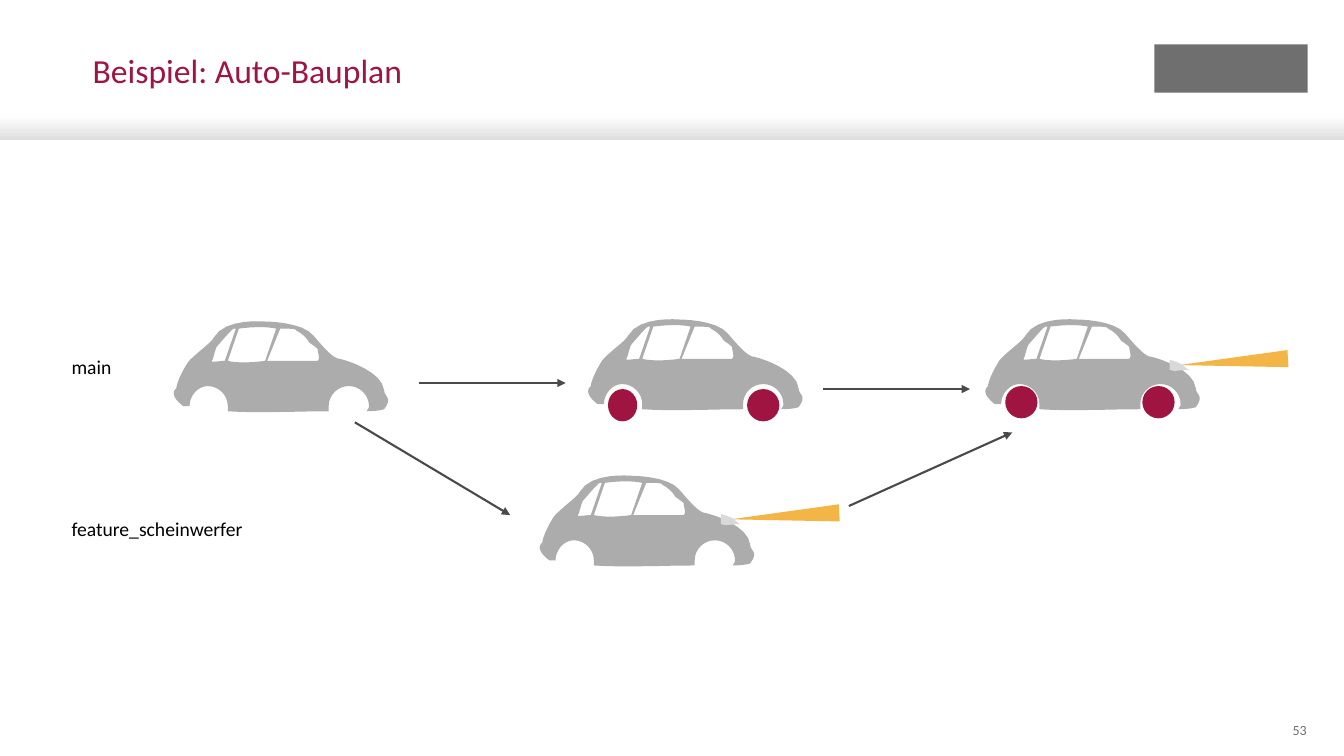
from dataclasses import dataclass

from lxml import etree
from pptx import Presentation
from pptx import util as u
from pptx.dml import color
from pptx.enum import shapes, text
from pptx.oxml import ns

PX = u.Inches(1) // 100
STEPS = 8


@dataclass(frozen=True)
class Theme:
    font: str = "Calibri"
    red: str = "A01441"
    body: str = "ACACAC"
    lamp: str = "D9D9D9"
    beam: str = "F3B545"
    line: str = "4A4A4A"
    gray: str = "6F6F6F"
    white: str = "FFFFFF"
    shade: str = "DEDEDE"
    black: str = "000000"
    title: int = 24
    label: int = 14
    page: int = 10
    stroke: float = 1.5


T = Theme()

BODY = [
    (215, 72), (213, 54, 180, 43, 171, 41), (165, 41, 156, 31, 145, 18),
    (134, 4, 97, 4, 97, 4), (97, 4, 57, 0, 46, 20), (44, 25, 25, 38, 20, 45),
    (9, 63, 9, 70, 9, 70), (0, 77, 16, 88, 16, 88), (22, 88),
    (22, 77, 31, 68, 40, 68), (51, 68, 60, 77, 60, 88), (60, 93),
    (90, 95, 130, 93, 160, 93), (160, 88), (160, 77, 169, 68, 180, 68),
    (191, 68, 200, 77, 200, 88), (200, 91, 198, 91, 198, 93),
    (209, 93, 215, 91, 215, 91), (224, 79, 215, 79, 215, 72),
]
REAR = [
    (44, 43), (46, 41, 46, 36, 49, 29), (51, 27, 64, 11, 66, 11), (68, 11),
    (57, 43), (51, 43, 44, 45, 44, 43),
]
MID = [
    (60, 43), (71, 11), (86, 9, 99, 9, 108, 11), (97, 43),
    (82, 45, 68, 45, 60, 43),
]
FRONT = [
    (149, 43), (99, 43), (112, 11), (121, 11, 128, 11, 128, 13),
    (134, 16, 138, 20, 141, 25), (141, 25, 147, 29, 149, 31),
    (149, 34, 152, 41, 149, 43),
]
LAMP = [
    (0, 0), (4, 1), (9, 3), (13, 5), (16, 8), (19, 10), (15, 10), (5, 11),
    (0, 10),
]


def rgb(tone):
    return color.RGBColor.from_string(tone)


def put(item, values):
    for name, value in values.items():
        setattr(item, name, value)


def paint(shape, tone):
    shape.shadow.inherit = False
    shape.line.fill.background()
    shape.fill.solid()
    shape.fill.fore_color.rgb = rgb(tone)
    return shape


def form(slide, kind, box, tone):
    shape = slide.shapes.add_shape(kind, *(n * PX for n in box))
    return paint(shape, tone)


def trace(parts):
    spots = [parts[0]]
    for part in parts[1:]:
        if len(part) == 2:
            spots.append(part)
            continue
        ctrl = [spots[-1], part[:2], part[2:4], part[4:]]
        for step in range(1, STEPS + 1):
            t = step / STEPS
            mix = ((1 - t) ** 3, 3 * t * (1 - t) ** 2, 3 * t * t * (1 - t), t ** 3)
            spots.append(tuple(
                sum(m * c[i] for m, c in zip(mix, ctrl)) for i in (0, 1)))
    return spots


def draw(slide, spot, loops, tone):
    left, top = spot
    pen = None
    for loop in loops:
        dots = [((left + x) * PX, (top + y) * PX) for x, y in trace(loop)]
        if pen is None:
            pen = slide.shapes.build_freeform(*dots[0], scale=1.0)
        else:
            pen.move_to(*dots[0])
        pen.add_line_segments(dots[1:], close=True)
    paint(pen.convert_to_shape(), tone)


def write(slide, box, words, size, tone, **look):
    frame = slide.shapes.add_textbox(*(n * PX for n in box)).text_frame
    put(frame, {
        "word_wrap": True, "margin_left": 0, "margin_top": 0,
        "margin_right": 0, "margin_bottom": 0,
        "vertical_anchor": look.pop("anchor", text.MSO_ANCHOR.TOP),
    })
    para = frame.paragraphs[0]
    put(para, look)
    run = para.add_run()
    run.text = words
    put(run.font, {"name": T.font, "size": u.Pt(size)})
    run.font.color.rgb = rgb(tone)


def head(slide, box):
    left, top, wide, high = box
    bar = form(slide, shapes.MSO_SHAPE.RECTANGLE,
               (left, top + high - 24, wide, 24), T.white)
    bar.fill.gradient()
    bar.fill.gradient_angle = 270
    for stop, tone in zip(bar.fill.gradient_stops, (T.white, T.shade)):
        stop.color.rgb = rgb(tone)
    form(slide, shapes.MSO_SHAPE.RECTANGLE,
         (left + wide - 188, top + 44, 152, 48), T.gray)
    write(slide, (left + 92, top + 54, 1024, 85), "Beispiel: Auto-Bauplan",
          T.title, T.red, line_spacing=0.9)


def foot(slide, box):
    write(slide, box, "53", T.page, T.gray, alignment=text.PP_ALIGN.RIGHT,
          anchor=text.MSO_ANCHOR.MIDDLE)


def car(slide, spot):
    draw(slide, spot, (BODY, REAR, MID, FRONT), T.body)


def light(slide, spot):
    left, top = spot
    beam = form(slide, shapes.MSO_SHAPE.ISOSCELES_TRIANGLE,
                (left + 55, top - 52, 17, 108), T.beam)
    beam.rotation = 266.6
    draw(slide, spot, (LAMP,), T.lamp)


def wheel(slide, spot, wide=32):
    form(slide, shapes.MSO_SHAPE.OVAL, (*spot, wide, 32), T.red)


def arrow(slide, start, end):
    link = slide.shapes.add_connector(
        shapes.MSO_CONNECTOR.STRAIGHT, *(n * PX for n in (*start, *end)))
    link.line.width = u.Pt(T.stroke)
    link.line.color.rgb = rgb(T.line)
    props = link.element.spPr
    edge = props.find(ns.qn("a:ln"))
    etree.SubElement(edge, ns.qn("a:tailEnd"), type="triangle")
    etree.SubElement(props, ns.qn("a:effectLst"))


def graph(slide, box):
    left, top = box[:2]

    def at(x, y):
        return left + x, top + y

    for name, y, wide in (("main", 37, 83), ("feature_scheinwerfer", 198, 214)):
        write(slide, (*at(0, y), wide, 60), name, T.label, T.black,
              line_spacing=1.1)
    for x, y in ((95, 2), (458, 155), (506, 0), (900, 0)):
        car(slide, at(x, y))
    for x, y in ((644, 197), (1089, 44)):
        light(slide, at(x, y))
    for x, y, wide in ((532, 73, 29), (670, 73, 32), (926, 70, 32), (1062, 70, 32)):
        wheel(slide, at(x, y), wide)
    for x, y, dx, dy in ((281, 106, 154, 92), (345, 67, 145, 0),
                         (771, 189, 162, -73), (745, 73, 146, 0)):
        arrow(slide, at(x, y), at(x + dx, y + dy))


def main():
    deck = Presentation()
    put(deck, {"slide_width": 1333 * PX, "slide_height": 750 * PX})
    slide = deck.slides.add_slide(deck.slide_layouts[6])
    head(slide, (0, 0, 1333, 139))
    graph(slide, (71, 313, 1210, 253))
    foot(slide, (1241, 714, 55, 21))
    deck.save("out.pptx")


if __name__ == "__main__":
    main()
